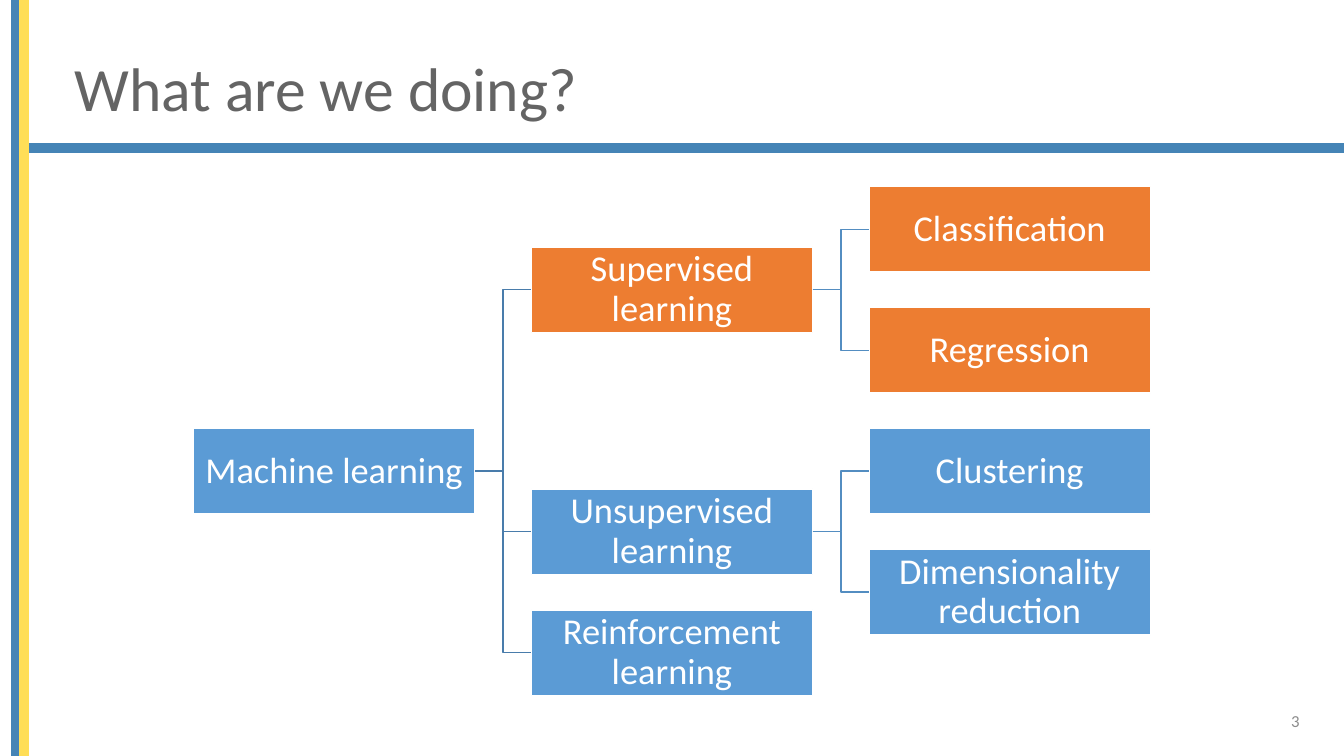
from dataclasses import dataclass
from typing import Optional

import lxml.etree
import pptx
import pptx.dml.color
import pptx.enum.shapes
import pptx.enum.text
import pptx.oxml.ns
import pptx.util

ALIGN = pptx.enum.text.PP_ALIGN
SIDE_RIGHT, SIDE_LEFT = 3, 1  # connection sites of a rectangle


@dataclass(frozen=True)
class Theme:
    font: str = "Calibri"
    title_size: int = 44
    box_size: int = 26
    number_size: int = 12
    title: str = "646464"
    number: str = "8C8C8C"
    white: str = "FFFFFF"
    bar_blue: str = "4584B6"
    bar_yellow: str = "FFDE57"
    blue: str = "5B9BD5"
    orange: str = "ED7D31"
    branch_lines: tuple[str, ...] = ("497CAB", "538DC1")  # by parent column


THEME = Theme()


@dataclass(frozen=True)
class Bar:
    left: int
    top: int
    width: int
    height: int
    color: str


@dataclass(frozen=True)
class Topic:
    name: str
    column: int
    row: int
    color: str
    parent: Optional[str] = None


# Slide and tree measures in px (100 px to the inch)
SLIDE_WIDTH, SLIDE_HEIGHT = 1333, 750
TREE_LEFT, TREE_TOP = 192, 185
COLUMN_STEP, ROW_STEP = 335, 60
BOX_WIDTH, BOX_HEIGHT = 279, 85

BARS = [
    Bar(18, 143, 1315, 8, THEME.bar_blue),
    Bar(12, 0, 8, SLIDE_HEIGHT, THEME.bar_blue),
    Bar(20, 0, 8, SLIDE_HEIGHT, THEME.bar_yellow),
]

TOPICS = [
    Topic("Machine learning", 0, 4, THEME.blue),
    Topic("Supervised learning", 1, 1, THEME.orange, "Machine learning"),
    Topic("Classification", 2, 0, THEME.orange, "Supervised learning"),
    Topic("Regression", 2, 2, THEME.orange, "Supervised learning"),
    Topic("Unsupervised learning", 1, 5, THEME.blue, "Machine learning"),
    Topic("Clustering", 2, 4, THEME.blue, "Unsupervised learning"),
    Topic("Dimensionality reduction", 2, 6, THEME.blue, "Unsupervised learning"),
    Topic("Reinforcement learning", 1, 7, THEME.blue, "Machine learning"),
]


def px(length: int) -> pptx.util.Emu:
    return pptx.util.Emu(length * 9144)


def rgb(color: str) -> pptx.dml.color.RGBColor:
    return pptx.dml.color.RGBColor.from_string(color)


def write_text(shape, text: str, *, size: int, color: str, align,
               line_spacing: float = 1.0, inset: int = 10) -> None:
    frame = shape.text_frame
    frame.word_wrap = True
    frame.auto_size = pptx.enum.text.MSO_AUTO_SIZE.NONE
    frame.vertical_anchor = pptx.enum.text.MSO_ANCHOR.MIDDLE
    frame.margin_left = frame.margin_right = px(inset)
    frame.margin_top = frame.margin_bottom = px(min(inset, 5))
    paragraph = frame.paragraphs[0]
    paragraph.alignment = align
    paragraph.line_spacing = line_spacing
    run = paragraph.add_run()
    run.text = text
    run.font.name = THEME.font
    run.font.size = pptx.util.Pt(size)
    run.font.color.rgb = rgb(color)


def add_rectangle(slide, left: int, top: int, width: int, height: int,
                  fill: str, line: str):
    shape = slide.shapes.add_shape(
        pptx.enum.shapes.MSO_SHAPE.RECTANGLE,
        px(left), px(top), px(width), px(height))
    shape.shadow.inherit = False
    shape.fill.solid()
    shape.fill.fore_color.rgb = rgb(fill)
    shape.line.color.rgb = rgb(line)
    shape.line.width = pptx.util.Pt(1)
    return shape


def add_topic(slide, topic: Topic):
    box = add_rectangle(
        slide,
        TREE_LEFT + topic.column * COLUMN_STEP,
        TREE_TOP + topic.row * ROW_STEP,
        BOX_WIDTH, BOX_HEIGHT, topic.color, THEME.white)
    write_text(box, topic.name, size=THEME.box_size, color=THEME.white,
               align=ALIGN.CENTER, line_spacing=0.9, inset=2)
    return box


def add_branch(slide, parent_box, child_box, color: str) -> None:
    branch = slide.shapes.add_connector(
        pptx.enum.shapes.MSO_CONNECTOR.ELBOW, 0, 0, 0, 0)
    branch.begin_connect(parent_box, SIDE_RIGHT)
    branch.end_connect(child_box, SIDE_LEFT)
    branch.line.color.rgb = rgb(color)
    branch.line.width = pptx.util.Pt(1)
    lxml.etree.SubElement(branch.element.spPr, pptx.oxml.ns.qn("a:effectLst"))


def main() -> None:
    presentation = pptx.Presentation()
    presentation.slide_width = px(SLIDE_WIDTH)
    presentation.slide_height = px(SLIDE_HEIGHT)
    slide = presentation.slides.add_slide(presentation.slide_layouts[5])

    # Accent bars
    for bar in BARS:
        add_rectangle(slide, bar.left, bar.top, bar.width, bar.height,
                      bar.color, bar.color)

    # Title
    title = slide.shapes.title
    title.left, title.top = px(64), px(40)
    title.width, title.height = px(1178), px(101)
    write_text(title, "What are we doing?", size=THEME.title_size,
               color=THEME.title, align=ALIGN.LEFT, line_spacing=0.9)

    # Slide number
    number = slide.shapes.add_textbox(px(999), px(695), px(300), px(40))
    write_text(number, "3", size=THEME.number_size, color=THEME.number,
               align=ALIGN.RIGHT)

    # Topic tree
    boxes = {topic.name: add_topic(slide, topic) for topic in TOPICS}
    for topic in TOPICS:
        if topic.parent:
            add_branch(slide, boxes[topic.parent], boxes[topic.name],
                       THEME.branch_lines[topic.column - 1])

    presentation.save("out.pptx")


if __name__ == "__main__":
    main()
